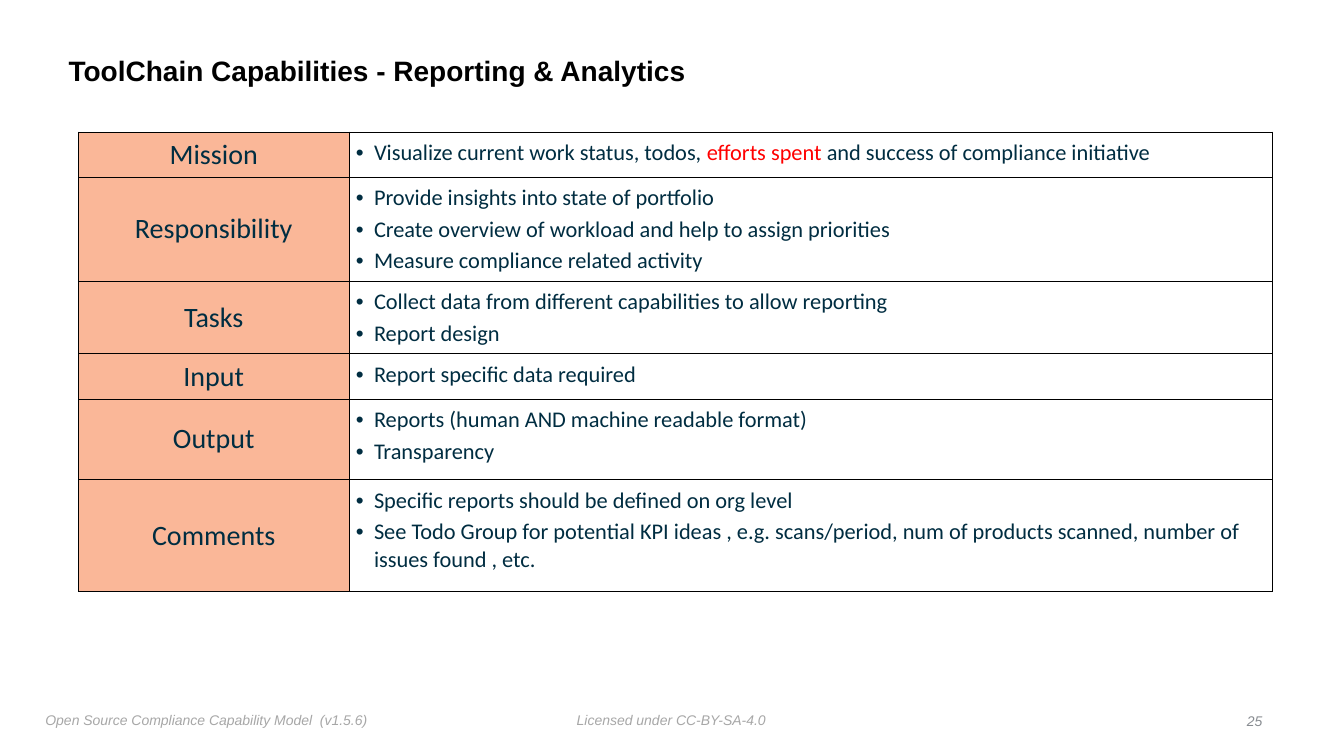
from dataclasses import dataclass

from lxml.etree import SubElement
from pptx import Presentation
from pptx.dml.color import RGBColor
from pptx.enum.text import MSO_ANCHOR as Anchor, PP_ALIGN as Align
from pptx.oxml.ns import qn
from pptx.util import Inches, Pt


@dataclass(frozen=True)
class Theme:
    heading: str = "Arial"
    body: str = "Calibri"
    black: str = "000000"
    ink: str = "002D41"
    highlight: str = "FF0000"
    label_fill: str = "FAB798"
    footer: str = "A7A7A7"
    page_number: str = "888C91"
    large: int = 20
    medium: int = 16
    small: int = 10
    border: float = 0.5


THEME = Theme()

# Label, row height in inches, bullets; a bullet is a list of (text, colour) runs or a string
CAPABILITIES = [
    ("Mission", 0.45, [[
        ("Visualize current work status, todos, ", THEME.ink),
        ("efforts spent ", THEME.highlight),
        ("and success of compliance initiative", THEME.ink),
    ]]),
    ("Responsibility", 1.03, [
        "Provide insights into state of portfolio",
        "Create overview of workload and help to assign priorities",
        "Measure compliance related activity",
    ]),
    ("Tasks", 0.72, [
        "Collect data from different capabilities to allow reporting",
        "Report design",
    ]),
    ("Input", 0.45, ["Report specific data required"]),
    ("Output", 0.8, [
        "Reports (human AND machine readable format)",
        "Transparency",
    ]),
    ("Comments", 1.11, [
        "Specific reports should be defined on org level",
        "See Todo Group for potential KPI ideas , e.g. scans/period, "
        "num of products scanned, number of issues found , etc.",
    ]),
]


def write(paragraph, content, *, size, color, font=THEME.body, bold=False,
          italic=False, align=Align.LEFT):
    """Fill a paragraph from a string or a list of (text, colour) runs."""
    paragraph.alignment = align
    runs = [(content, color)] if isinstance(content, str) else content
    for text, run_color in runs:
        run = paragraph.add_run()
        run.text = text
        run.font.name = font
        run.font.size = Pt(size)
        run.font.bold = bold
        run.font.italic = italic
        run.font.color.rgb = RGBColor.from_string(run_color)


def add_text(slide, box, text, *, wrap=False, anchor=Anchor.TOP, line_spacing=None,
             **text_format):
    frame = slide.shapes.add_textbox(*map(Inches, box)).text_frame
    frame.word_wrap = wrap
    frame.vertical_anchor = anchor
    frame.margin_left = frame.margin_right = Inches(0.05)
    frame.margin_top = frame.margin_bottom = Inches(0.05)
    paragraph = frame.paragraphs[0]
    paragraph.line_spacing = line_spacing
    write(paragraph, text, **text_format)


def add_bullet(paragraph):
    properties = paragraph._p.get_or_add_pPr()
    properties.set("marL", str(Inches(0.18)))
    properties.set("indent", str(Inches(-0.18)))
    SubElement(properties, qn("a:buFont"), typeface="Arial")
    SubElement(properties, qn("a:buChar"), char="•")


def format_cell(cell, margin, fill=None):
    cell.margin_left = cell.margin_right = Inches(margin)
    cell.margin_top = cell.margin_bottom = Inches(margin)
    properties = cell._tc.get_or_add_tcPr()
    for side in ("lnL", "lnR", "lnT", "lnB"):
        line = SubElement(properties, qn(f"a:{side}"), w=str(Pt(THEME.border)))
        SubElement(SubElement(line, qn("a:solidFill")), qn("a:srgbClr"), val=THEME.black)
    if fill:
        cell.fill.solid()
        cell.fill.fore_color.rgb = RGBColor.from_string(fill)
    else:
        cell.fill.background()


def fill_label(cell, label):
    format_cell(cell, 0, THEME.label_fill)
    cell.vertical_anchor = Anchor.MIDDLE
    write(cell.text_frame.paragraphs[0], label, size=THEME.large, color=THEME.ink,
          align=Align.CENTER)


def fill_bullets(cell, bullets):
    format_cell(cell, 0.07)
    frame = cell.text_frame
    for index, bullet in enumerate(bullets):
        paragraph = frame.add_paragraph() if index else frame.paragraphs[0]
        add_bullet(paragraph)
        if index:
            paragraph.space_before = Pt(3)
        write(paragraph, bullet, size=THEME.medium, color=THEME.ink)


def add_capability_table(slide, left, top, width, label_width=2.68):
    height = sum(row_height for _, row_height, _ in CAPABILITIES)
    table = slide.shapes.add_table(
        len(CAPABILITIES), 2, *map(Inches, (left, top, width, height))).table
    table.first_row = table.horz_banding = False
    table.columns[0].width = Inches(label_width)
    table.columns[1].width = Inches(width - label_width)
    for row, (label, row_height, bullets) in zip(table.rows, CAPABILITIES):
        row.height = Inches(row_height)
        fill_label(row.cells[0], label)
        fill_bullets(row.cells[1], bullets)


def add_footer(slide, top):
    style = dict(size=THEME.small, font=THEME.heading, italic=True)
    add_text(slide, (0.4, top, 3.32, 0.27),
             "Open Source Compliance Capability Model  (v1.5.6)",
             color=THEME.footer, **style)
    add_text(slide, (5.67, top, 1.99, 0.25), "Licensed under CC-BY-SA-4.0",
             color=THEME.footer, **style)
    add_text(slide, (12.3, top + 0.02, 0.27, 0.25), "25", color=THEME.page_number,
             anchor=Anchor.MIDDLE, align=Align.RIGHT, **style)


def main():
    deck = Presentation()
    deck.slide_width, deck.slide_height = Inches(13.33), Inches(7.5)
    slide = deck.slides.add_slide(deck.slide_layouts[6])
    add_text(slide, (0.63, 0.39, 10.75, 0.65),
             "ToolChain Capabilities - Reporting & Analytics",
             wrap=True, anchor=Anchor.MIDDLE, line_spacing=0.9,
             size=THEME.large, color=THEME.black, font=THEME.heading, bold=True)
    add_capability_table(slide, left=0.78, top=1.31, width=11.84)
    add_footer(slide, top=7.01)
    deck.save("out.pptx")


if __name__ == "__main__":
    main()
